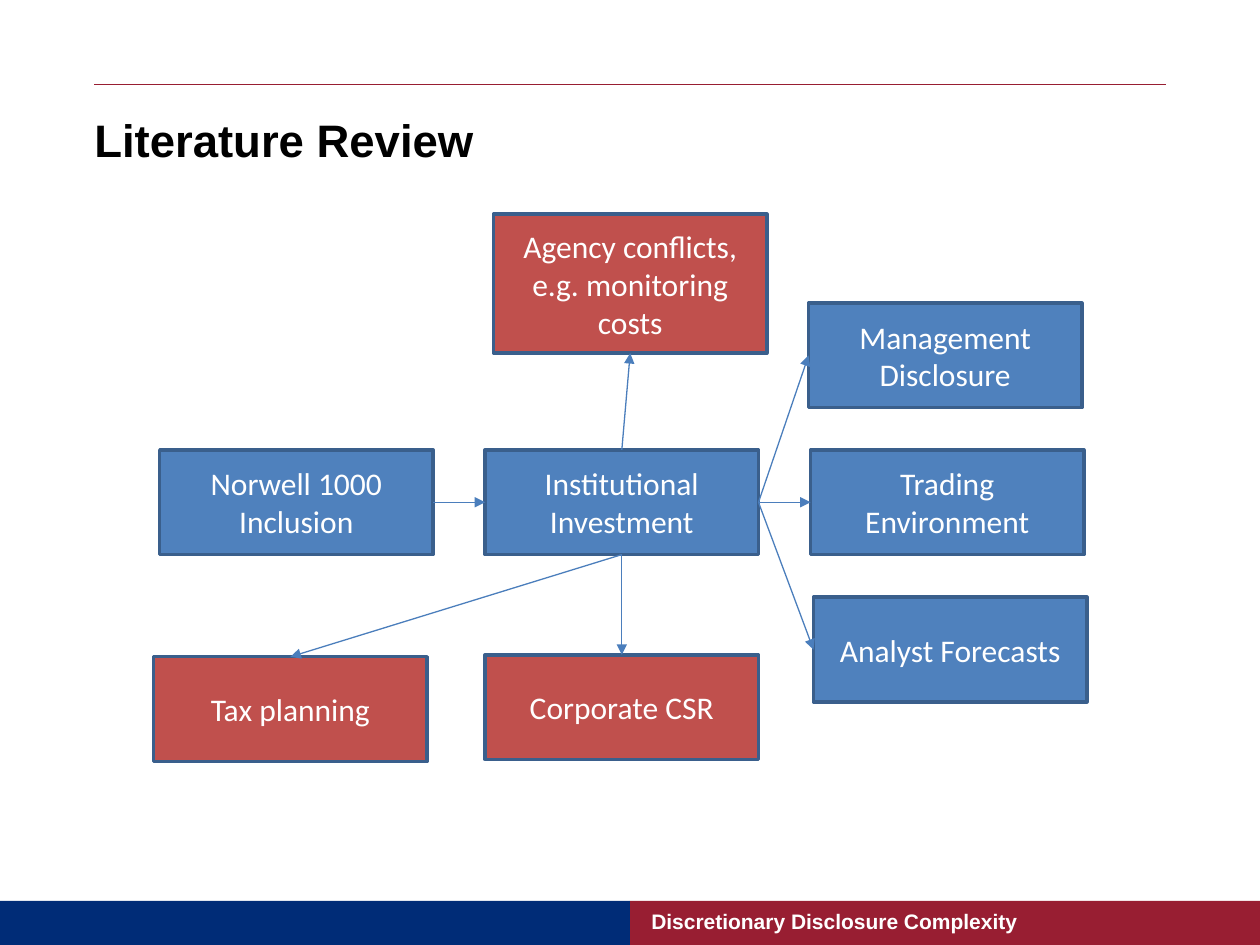
import pptx
import pptx.util
import pptx.dml.color
import pptx.enum.shapes
import pptx.enum.text
import pptx.oxml.ns
import lxml.etree

Cm, Pt = pptx.util.Cm, pptx.util.Pt
ALIGN, ANCHOR = pptx.enum.text.PP_ALIGN, pptx.enum.text.MSO_ANCHOR
RECT = pptx.enum.shapes.MSO_SHAPE.RECTANGLE
STRAIGHT = pptx.enum.shapes.MSO_CONNECTOR.STRAIGHT
qn = pptx.oxml.ns.qn

TITLE = "Literature Review"
FOOTER = "Discretionary Disclosure Complexity"
RED, NAVY = "981E32", "002C77"
BLUE_BOX, RED_BOX, BOX_LINE, ARROW = "4F81BD", "C0504D", "3A5F8C", "4B7EBC"
BOX_W, BOX_H = 5.51, 2.11
TOP, LEFT, BOTTOM, RIGHT = range(4)  # connection sites of a rectangle

# name: (text, left, top, height, fill), lengths in cm
BOXES = {
    "inclusion": ("Norwell 1000 Inclusion", 3.22, 9.07, BOX_H, BLUE_BOX),
    "investment": ("Institutional Investment", 9.78, 9.07, BOX_H, BLUE_BOX),
    "trading": ("Trading Environment", 16.34, 9.07, BOX_H, BLUE_BOX),
    "forecasts": ("Analyst Forecasts", 16.4, 12.04, BOX_H, BLUE_BOX),
    "disclosure": ("Management Disclosure", 16.3, 6.11, BOX_H, BLUE_BOX),
    "agency": ("Agency conflicts, e.g. monitoring costs", 9.95, 4.32, 2.8, RED_BOX),
    "csr": ("Corporate CSR", 9.78, 13.2, BOX_H, RED_BOX),
    "tax": ("Tax planning", 3.1, 13.24, BOX_H, RED_BOX),
}
ARROWS = [
    ("inclusion", RIGHT, "investment", LEFT),
    ("investment", RIGHT, "disclosure", LEFT),
    ("investment", RIGHT, "trading", LEFT),
    ("investment", RIGHT, "forecasts", LEFT),
    ("investment", TOP, "agency", BOTTOM),
    ("investment", BOTTOM, "csr", TOP),
    ("investment", BOTTOM, "tax", TOP),
]


def rgb(value):
    return pptx.dml.color.RGBColor.from_string(value)


def write(tf, text, size, font, color, bold=False, align=ALIGN.LEFT,
          anchor=ANCHOR.MIDDLE, inset=None):
    tf.word_wrap = True
    tf.vertical_anchor = anchor
    if inset is not None:
        tf.margin_left = tf.margin_top = tf.margin_right = tf.margin_bottom = inset
    p = tf.paragraphs[0]
    p.alignment = align
    r = p.add_run()
    r.text = text
    r.font.size, r.font.name, r.font.bold = Pt(size), font, bold
    r.font.color.rgb = rgb(color)
    return p


def add_box(s, left, top, width, height, fill, line=None):
    sp = s.shapes.add_shape(RECT, Cm(left), Cm(top), Cm(width), Cm(height))
    sp.shadow.inherit = False
    sp.fill.solid()
    sp.fill.fore_color.rgb = rgb(fill)
    if line:
        sp.line.color.rgb = rgb(line)
        sp.line.width = Pt(2)
    else:
        sp.line.fill.background()
    return sp


def add_line(s, x1, y1, x2, y2, color, width):
    line = s.shapes.add_connector(STRAIGHT, Cm(x1), Cm(y1), Cm(x2), Cm(y2))
    line.line.color.rgb = rgb(color)
    line.line.width = Pt(width)
    lxml.etree.SubElement(line._element.spPr, qn("a:effectLst"))
    return line


prs = pptx.Presentation()
prs.slide_width, prs.slide_height = Cm(25.4), Cm(19.05)
s = prs.slides.add_slide(prs.slide_layouts[5])

title = s.shapes.title
title.left, title.top, title.width, title.height = Cm(1.9), Cm(2.1), Cm(21.6), Cm(2.1)
p = write(title.text_frame, TITLE, 26, "Arial", "000000", bold=True,
          anchor=ANCHOR.TOP, inset=0)
p.line_spacing = 1.14

add_box(s, 12.7, 18.16, 12.7, 0.89, RED)
add_box(s, 0, 18.16, 12.7, 0.89, NAVY)
add_line(s, 1.9, 1.7, 23.5, 1.7, RED, 0.5)
footer = s.shapes.add_textbox(Cm(13.13), Cm(18.16), Cm(9.53), Cm(0.81))
write(footer.text_frame, FOOTER, 12, "Arial", "FFFFFF", bold=True, inset=0)

boxes = {}
for name, (text, left, top, height, fill) in BOXES.items():
    boxes[name] = add_box(s, left, top, BOX_W, height, fill, BOX_LINE)
    write(boxes[name].text_frame, text, 18, "Calibri", "FFFFFF", align=ALIGN.CENTER)

for start, start_site, end, end_site in ARROWS:
    arrow = add_line(s, 0, 0, 0, 0, ARROW, 0.75)
    arrow.begin_connect(boxes[start], start_site)
    arrow.end_connect(boxes[end], end_site)
    lxml.etree.SubElement(arrow.line._get_or_add_ln(), qn("a:tailEnd"), type="triangle")

prs.save("out.pptx")
